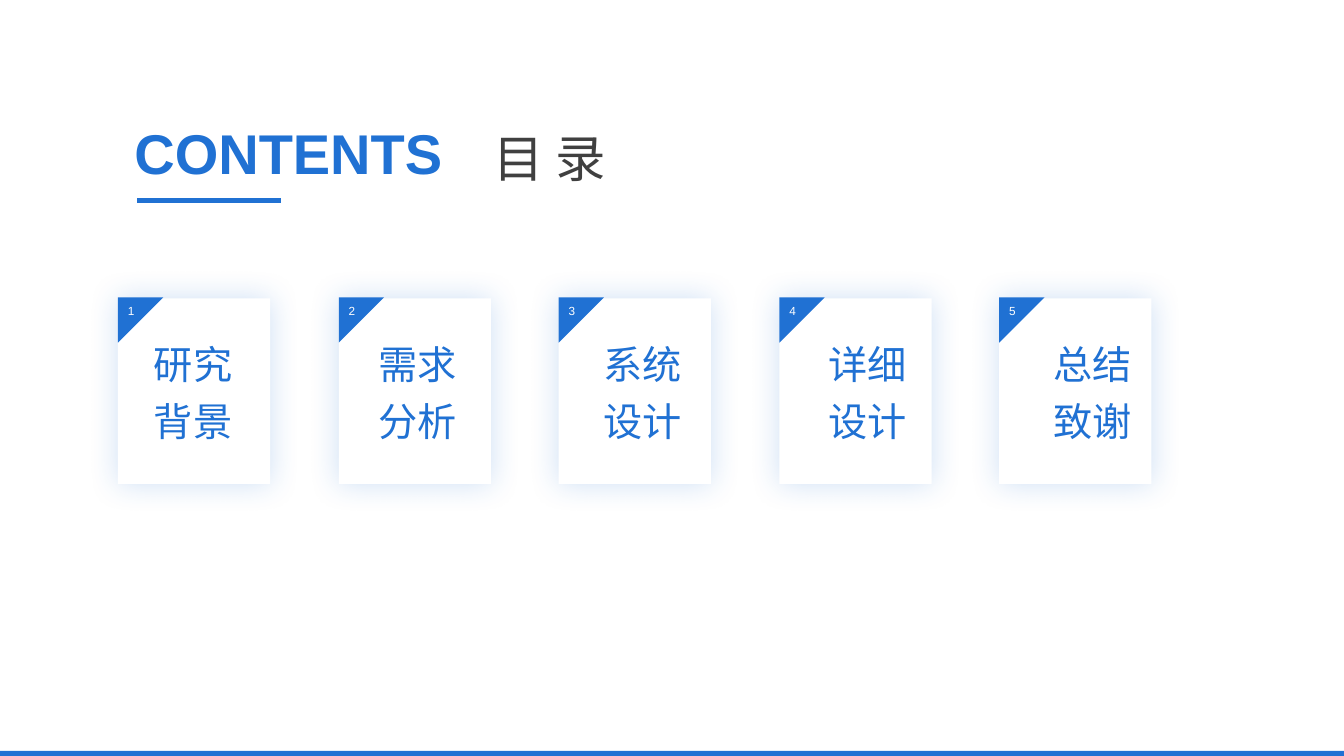
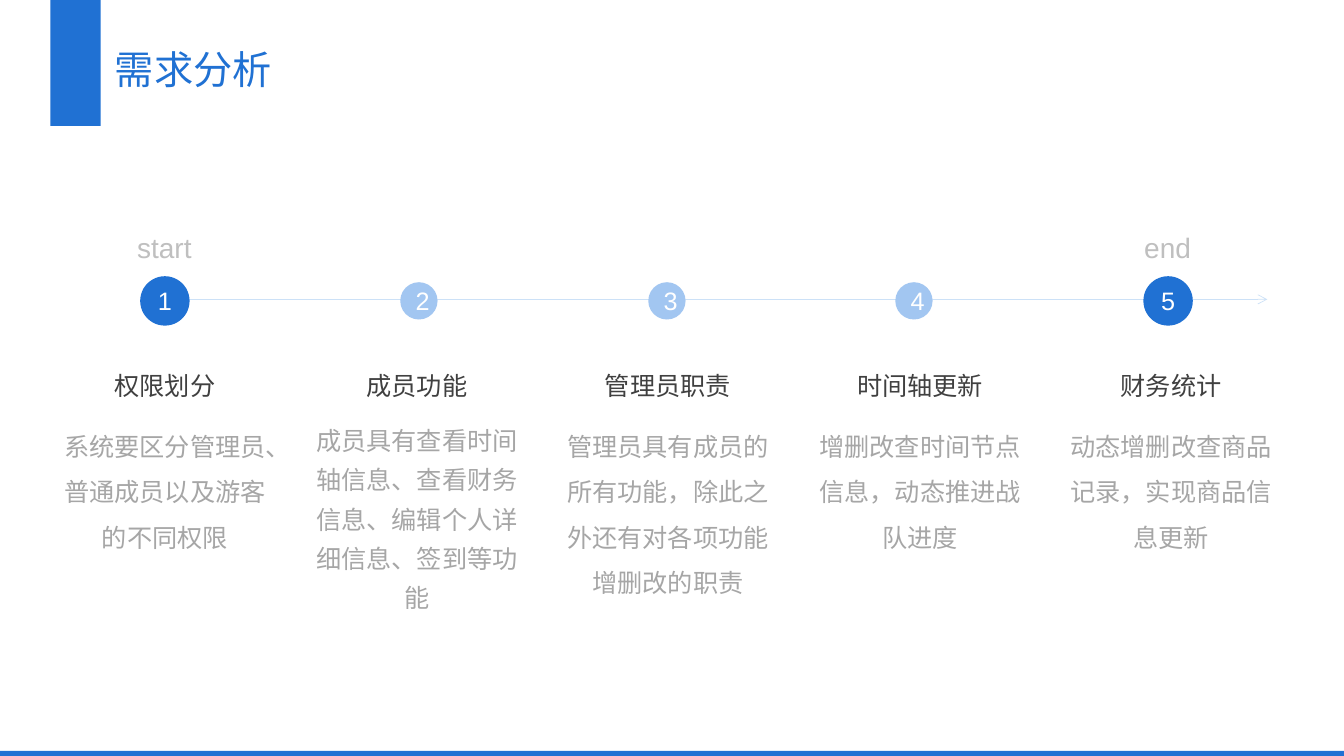
from lxml import etree
from pptx import Presentation
from pptx import util as u
from pptx.dml.color import RGBColor
from pptx.enum import shapes, text
from pptx.oxml.ns import qn

# Shared look: lengths are px, 100 to the inch
EMU_PER_PX = 9144
WIDTH, HEIGHT = 1333, 750
FONT = "Arial"
BLUE, PALE_BLUE, LINE_BLUE = "2071D3", "A2C6F1", "CCE1F7"
WHITE, DARK, GREY, LIGHT_GREY = "FFFFFF", "404040", "A6A6A6", "BFBFBF"
LEFT, CENTER = text.PP_ALIGN.LEFT, text.PP_ALIGN.CENTER
TOP, MIDDLE, BOTTOM = (text.MSO_ANCHOR.TOP, text.MSO_ANCHOR.MIDDLE,
                       text.MSO_ANCHOR.BOTTOM)
RECT = shapes.MSO_SHAPE.RECTANGLE

CARDS = ["研究\n背景", "需求\n分析", "系统\n设计", "详细\n设计", "总结\n致谢"]

# Circle centre, heading, description, line spacing
STEPS = [
    (163, "权限划分", "系统要区分管理员、普通成员以及游客的不同权限", 1.5),
    (415, "成员功能", "成员具有查看时间轴信息、查看财务信息、编辑个人详细信息、签到等功能", 1.3),
    (661, "管理员职责", "管理员具有成员的所有功能，除此之外还有对各项功能增删改的职责", 1.5),
    (906, "时间轴更新", "增删改查时间节点信息，动态推进战队进度", 1.5),
    (1158, "财务统计", "动态增删改查商品记录，实现商品信息更新", 1.5),
]
END_LABELS = {0: "start", len(STEPS) - 1: "end"}


def px(*lengths):
    return [u.Emu(length * EMU_PER_PX) for length in lengths]


def color(hex_string):
    return RGBColor.from_string(hex_string)


def half_steps(start, double_step, index):
    """Position in a row whose step is half of double_step, rounded up."""
    return start + (index * double_step + 1) // 2


def write(box, words, size, hex_color, align=CENTER, anchor=TOP, spacing=1.0,
          before=0, bold=False, wrap=True):
    frame = box.text_frame
    frame.text = words
    frame.word_wrap = wrap
    frame.auto_size = text.MSO_AUTO_SIZE.NONE
    frame.vertical_anchor = anchor
    for para in frame.paragraphs:
        para.alignment = align
        para.line_spacing = spacing
        para.space_before = u.Pt(before)
        para.font.name = FONT
        para.font.size = u.Pt(size)
        para.font.bold = bold
        para.font.color.rgb = color(hex_color)


def add_text(page, place, words, size, hex_color, **style):
    write(page.shapes.add_textbox(*px(*place)), words, size, hex_color, **style)


def set_title(page, place, words, size, **style):
    title = page.shapes.title
    title.left, title.top, title.width, title.height = px(*place)
    write(title, words, size, BLUE, **style)


def add_block(page, kind, place, fill):
    block = page.shapes.add_shape(kind, *px(*place))
    block.shadow.inherit = False
    block.fill.solid()
    block.fill.fore_color.rgb = color(fill)
    block.line.fill.background()
    return block


def add_line(page, start, end, hex_color, width, arrow=False):
    line = page.shapes.add_connector(shapes.MSO_CONNECTOR.STRAIGHT,
                                     *px(*start, *end))
    line.line.color.rgb = color(hex_color)
    line.line.width = u.Pt(width)
    if arrow:
        etree.SubElement(line.line._get_or_add_ln(), qn("a:tailEnd"), type="arrow")
    etree.SubElement(line.element.spPr, qn("a:effectLst"))


def add_glow(block):
    """Soft blue shadow on all sides."""
    effects = block.element.spPr.find(qn("a:effectLst"))
    shadow = etree.SubElement(effects, qn("a:outerShdw"), blurRad=str(u.Pt(22)),
                              dist="0", dir="0", algn="ctr", rotWithShape="0")
    tint = etree.SubElement(shadow, qn("a:srgbClr"), val=BLUE)
    etree.SubElement(tint, qn("a:alpha"), val="22000")


def add_master_band(deck, page):
    """Draw the bottom band, then move it to the slide master."""
    band = add_block(page, RECT, (0, HEIGHT - 5, WIDTH, 5), BLUE)
    band.element.nvSpPr.cNvPr.set("id", "100")
    deck.slide_master.shapes.element.append(band.element)


def add_card(page, index, words):
    left = half_steps(117, 437, index)
    add_glow(add_block(page, RECT, (left, 296, 151, 184), WHITE))
    add_text(page, (126 + 223 * index, 323, 131, 138), words, 28, BLUE,
             anchor=MIDDLE, spacing=0.9, before=10)
    corner = add_block(page, shapes.MSO_SHAPE.RIGHT_TRIANGLE,
                       (left, 295, 45, 45), BLUE)
    corner.rotation = 90
    add_text(page, (left, 292, 25, 31), str(index + 1), 8.4, WHITE,
             align=LEFT, spacing=1.3, wrap=False)


def add_step(page, index, center, heading, description, spacing):
    is_end = index in END_LABELS
    size = 49 if is_end else 37
    circle = add_block(page, shapes.MSO_SHAPE.OVAL,
                       (center - size // 2, 298 - size // 2, size, size),
                       BLUE if is_end else PALE_BLUE)
    write(circle, str(index + 1), 18, WHITE, anchor=MIDDLE)
    if is_end:
        add_text(page, (center - 41, 214, 82, 55), END_LABELS[index], 20,
                 LIGHT_GREY, spacing=1.3)
    left = half_steps(49, 499, index)
    add_text(page, (left, 347, 229, 55), heading, 18, DARK,
             anchor=BOTTOM, spacing=1.3)
    add_text(page, (left - 1, 408, 231, 206), description, 18, GREY,
             spacing=spacing)


def build_contents(page):
    set_title(page, (120, 103, 332, 89), "CONTENTS", 40,
              anchor=MIDDLE, spacing=1.1, bold=True)
    add_text(page, (463, 103, 165, 89), "目 录", 36, DARK,
             anchor=MIDDLE, spacing=1.3)
    add_line(page, (136, 199), (279, 199), BLUE, 3)
    for index, words in enumerate(CARDS):
        add_card(page, index, words)


def build_timeline(page):
    set_title(page, (104, 26, 402, 88), "需求分析", 28, align=LEFT, spacing=1.3)
    add_block(page, RECT, (50, 0, 50, 125), BLUE)
    add_line(page, (164, 297), (1257, 297), LINE_BLUE, 0.5, arrow=True)
    for index, step in enumerate(STEPS):
        add_step(page, index, *step)


def main():
    deck = Presentation()
    deck.slide_width, deck.slide_height = px(WIDTH, HEIGHT)
    title_only = deck.slide_layouts[5]
    contents, timeline = [deck.slides.add_slide(title_only) for _ in range(2)]
    add_master_band(deck, contents)
    build_contents(contents)
    build_timeline(timeline)
    deck.save("out.pptx")


if __name__ == "__main__":
    main()
